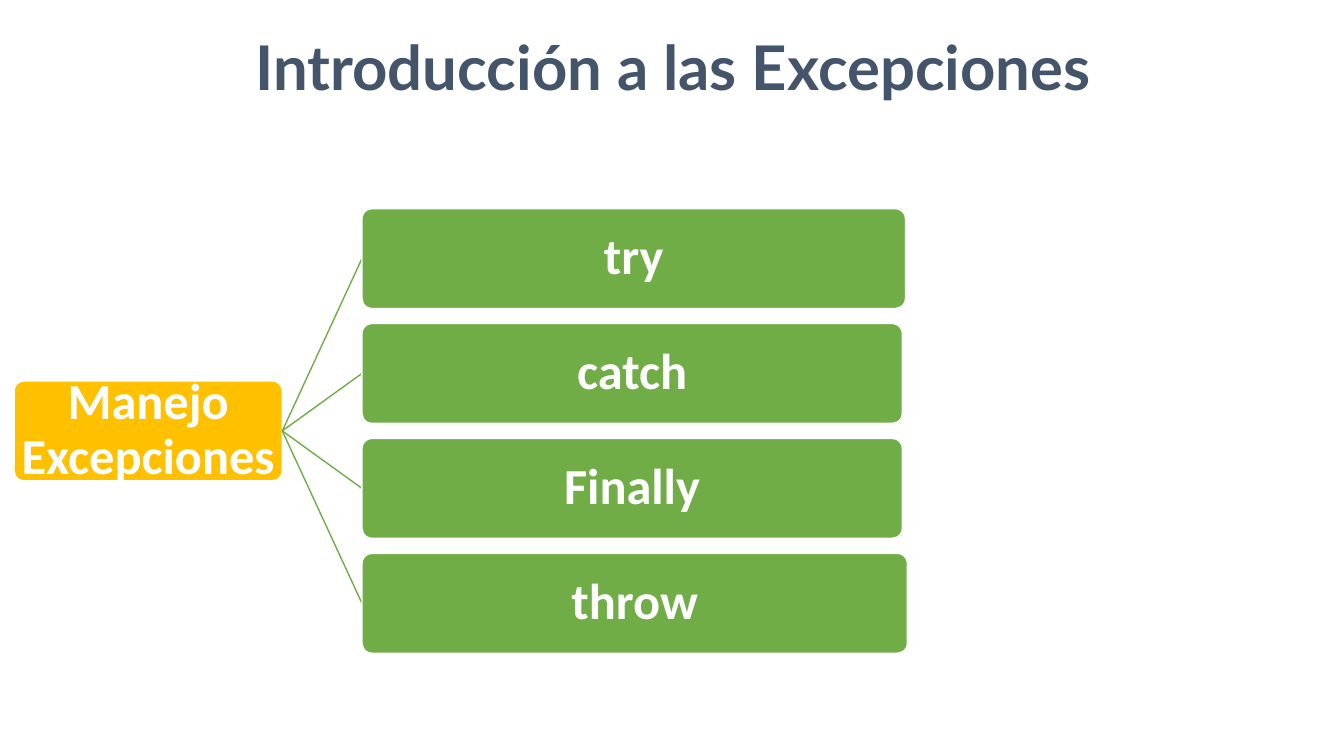
from dataclasses import dataclass
from lxml import etree
from pptx import Presentation
from pptx.dml.color import RGBColor
from pptx.enum.shapes import MSO_CONNECTOR, MSO_SHAPE
from pptx.enum.text import MSO_ANCHOR, MSO_AUTO_SIZE, PP_ALIGN
from pptx.oxml.ns import qn
from pptx.util import Inches, Pt

ROUND = MSO_SHAPE.ROUNDED_RECTANGLE
LINE = MSO_CONNECTOR.STRAIGHT
CENTER = PP_ALIGN.CENTER
MIDDLE = MSO_ANCHOR.MIDDLE
FIXED = MSO_AUTO_SIZE.NONE

# Content: each branch with its box width
TITLE = "Introducción a las Excepciones"
ROOT = "Manejo Excepciones"
BRANCHES = [("try", 5.39), ("catch", 5.36), ("Finally", 5.36), ("throw", 5.41)]


@dataclass(frozen=True)
class Theme:
    navy = RGBColor(0x44, 0x54, 0x6A)
    gold = RGBColor(0xFF, 0xC0, 0x00)
    green = RGBColor(0x70, 0xAD, 0x47)
    white = RGBColor(0xFF, 0xFF, 0xFF)
    head_font = "Lato"
    body_font = "Calibri"
    head_size = Pt(44)
    body_size = Pt(36)
    stroke = Pt(1)


# Layout in inches
ROOT_X, ROOT_W = 0.14, 2.66
LEFT, TOP = 3.59, 2.07
BOX_H, STEP = 0.99, 1.14
BOX_PAD = 0.01  # the rounded corners add their own inset
MID = TOP + (STEP * (len(BRANCHES) - 1) + BOX_H) / 2


def write(frame, text, font, size, color, pad_x, pad_y):
    frame.word_wrap = True
    frame.auto_size = FIXED
    frame.vertical_anchor = MIDDLE
    frame.margin_left = frame.margin_right = Inches(pad_x)
    frame.margin_top = frame.margin_bottom = Inches(pad_y)
    para = frame.paragraphs[0]
    para.alignment = CENTER
    run = para.add_run()
    run.text = text
    run.font.name = font
    run.font.size = size
    run.font.bold = True
    run.font.color.rgb = color
    return para


def add_box(slide, text, x, y, width, fill):
    box = slide.shapes.add_shape(
        ROUND, Inches(x), Inches(y), Inches(width), Inches(BOX_H))
    box.adjustments[0] = 0.1
    box.shadow.inherit = False
    box.fill.solid()
    box.fill.fore_color.rgb = fill
    box.line.color.rgb = Theme.white
    box.line.width = Theme.stroke
    para = write(box.text_frame, text, Theme.body_font, Theme.body_size,
                 Theme.white, BOX_PAD, BOX_PAD)
    para.line_spacing = 0.9


def add_link(slide, x1, y1, x2, y2):
    link = slide.shapes.add_connector(
        LINE, Inches(x1), Inches(y1), Inches(x2), Inches(y2))
    link.line.color.rgb = Theme.green
    link.line.width = Theme.stroke
    etree.SubElement(link._element.spPr, qn("a:effectLst"))


deck = Presentation()
deck.slide_width, deck.slide_height = Inches(13.33), Inches(7.5)
slide = deck.slides.add_slide(deck.slide_layouts[5])

# Title
title = slide.shapes.title
title.left, title.top = Inches(0.13), Inches(0.26)
title.width, title.height = Inches(13.1), Inches(0.79)
write(title.text_frame, TITLE, Theme.head_font, Theme.head_size,
      Theme.navy, 0.05, 0.02)

# Root and its branches
add_box(slide, ROOT, ROOT_X, MID - BOX_H / 2, ROOT_W, Theme.gold)
for row, (name, width) in enumerate(BRANCHES):
    y = TOP + row * STEP
    add_link(slide, ROOT_X + ROOT_W, MID, LEFT, y + BOX_H / 2)
    add_box(slide, name, LEFT, y, width, Theme.green)

deck.save("out.pptx")
